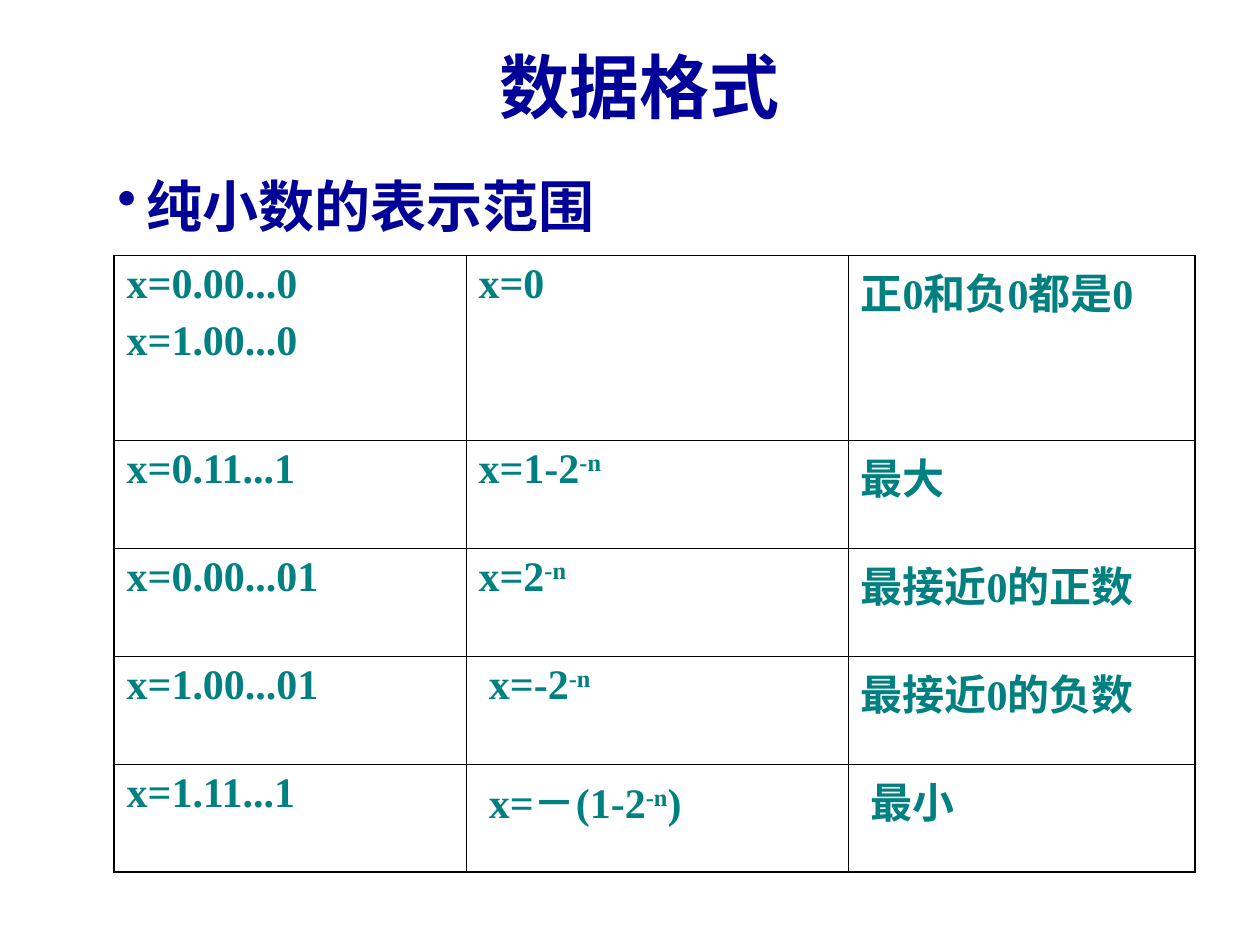
import pptx
import pptx.dml.color
import pptx.enum.text
import pptx.oxml
import pptx.oxml.ns
import pptx.util
from lxml import etree

EMU_PER_PX = 914400 / 126
NAVY = "000099"
TEAL = "008080"
BLACK = "000000"
THIN, THICK = 0.45, 1.08


def px(length):
    return pptx.util.Emu(round(length * EMU_PER_PX))


def color(value):
    return pptx.dml.color.RGBColor.from_string(value)


def add_element(parent, tag, **attributes):
    return etree.SubElement(parent, pptx.oxml.ns.qn(tag), **attributes)


class SlideBuilder:
    font_name = "Times New Roman"

    def __init__(self, presentation):
        self.slide = presentation.slides.add_slide(presentation.slide_layouts[5])

    def style(self, font, size, value):
        formats = {"name": self.font_name, "size": pptx.util.Pt(size), "bold": True}
        for name, setting in formats.items():
            setattr(font, name, setting)
        font.color.rgb = color(value)

    def add_text(self, paragraph, text, size, value):
        for index, part in enumerate(text.split("^")):
            if not part:
                continue
            run = paragraph.add_run()
            run.text = part
            self.style(run.font, size, value)
            if index % 2:
                run._r.get_or_add_rPr().set("baseline", "30000")

    def title(self, text, left, top, width, height):
        shape = self.slide.shapes.title
        box = {"left": left, "top": top, "width": width, "height": height}
        for name, length in box.items():
            setattr(shape, name, px(length))
        frame = shape.text_frame
        frame.vertical_anchor = pptx.enum.text.MSO_ANCHOR.MIDDLE
        paragraph = frame.paragraphs[0]
        paragraph.alignment = pptx.enum.text.PP_ALIGN.CENTER
        self.add_text(paragraph, text, 40, NAVY)

    def bullet(self, text, left, top, width, height, indent):
        shape = self.slide.shapes.add_textbox(px(left), px(top), px(width), px(height))
        frame = shape.text_frame
        frame.word_wrap = True
        frame.auto_size = pptx.enum.text.MSO_AUTO_SIZE.SHAPE_TO_FIT_TEXT
        paragraph = frame.paragraphs[0]
        properties = paragraph._p.get_or_add_pPr()
        properties.set("marL", str(px(indent)))
        properties.set("indent", str(-px(indent)))
        bullet_color = add_element(properties, "a:buClr")
        add_element(bullet_color, "a:srgbClr", val=NAVY)
        add_element(properties, "a:buChar", char="•")
        self.add_text(paragraph, text, 32, NAVY)

    def borders(self, cell, widths):
        properties = cell._tc.get_or_add_tcPr()
        for side, width in widths.items():
            line = add_element(properties, f"a:ln{side}", w=str(pptx.util.Pt(width)))
            fill = add_element(line, "a:solidFill")
            add_element(fill, "a:srgbClr", val=BLACK)

    def table(self, rows, left, top, widths, heights, indented):
        table = self.slide.shapes.add_table(
            len(rows), len(widths), px(left), px(top), px(sum(widths)), px(sum(heights))).table
        table.first_row = table.horz_banding = False
        for column, width in zip(table.columns, widths):
            column.width = px(width)
        for row, height in zip(table.rows, heights):
            row.height = px(height)
        last_row, last_column = len(rows) - 1, len(widths) - 1
        for row_index, texts in enumerate(rows):
            for column_index, text in enumerate(texts):
                cell = table.cell(row_index, column_index)
                self.borders(cell, {
                    "L": THICK if column_index == 0 else THIN,
                    "R": THICK if column_index == last_column else THIN,
                    "T": THIN,
                    "B": THICK if row_index == last_row else THIN,
                })
                cell.fill.background()
                if (row_index, column_index) in indented:
                    cell.margin_left = px(23)
                frame = cell.text_frame
                for index, line in enumerate(text.split("\n")):
                    paragraph = frame.add_paragraph() if index else frame.paragraphs[0]
                    if index:
                        paragraph.space_before = pptx.util.Pt(6)
                    self.add_text(paragraph, line, 24, TEAL)


def main():
    presentation = pptx.Presentation()
    presentation.slide_width = px(1260)
    presentation.slide_height = px(945)
    builder = SlideBuilder(presentation)
    builder.title("数据格式", 174, 35, 931, 100)
    ranges = [
        ("x=0.00...0\nx=1.00...0", "x=0", "正0和负0都是0"),
        ("x=0.11...1", "x=1-2^-n^", "最大"),
        ("x=0.00...01", "x=2^-n^", "最接近0的正数"),
        ("x=1.00...01", "x=-2^-n^", "最接近0的负数"),
        ("x=1.11...1", "x=－(1-2^-n^)", "最小"),
    ]
    builder.table(ranges, 114, 255, [352, 382, 347], [185] + [108] * 4,
                  indented={(3, 1), (4, 1), (4, 2)})
    builder.bullet("纯小数的表示范围", 105, 165, 507, 81, indent=29)
    presentation.save("out.pptx")


if __name__ == "__main__":
    main()
